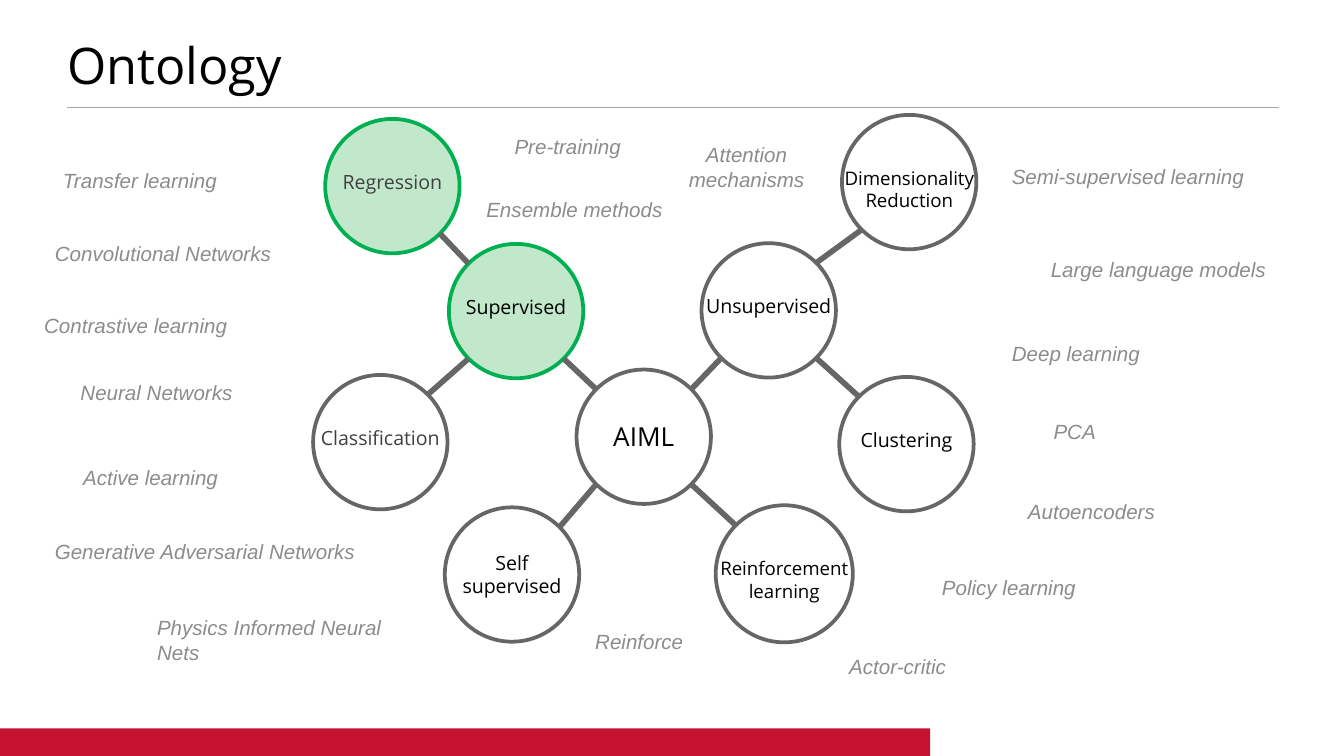
"""Build the Ontology slide: a map of AI/ML branches among related terms."""
from lxml import etree
from pptx import Presentation
from pptx import util as u
from pptx.dml.color import RGBColor
from pptx.enum import shapes, text
from pptx.oxml import ns

BLACK = RGBColor(0x00, 0x00, 0x00)
CHARCOAL = RGBColor(0x40, 0x40, 0x40)
GREY = RGBColor(0x66, 0x66, 0x66)
TERM_GREY = RGBColor(0x8C, 0x8C, 0x8C)
RULE_GREY = RGBColor(0xA5, 0xA5, 0xA5)
GREEN = RGBColor(0x00, 0xB0, 0x50)
PALE_GREEN = RGBColor(0xC2, 0xE8, 0xCC)
RED = RGBColor(0xC4, 0x12, 0x30)

deck = Presentation()
deck.slide_width = u.Inches(10)
deck.slide_height = deck.slide_width * 9 // 16
page = deck.slides.add_slide(deck.slide_layouts[5])
CELL = deck.slide_width / 100


def draw_line(ends, color, weight):
    line = page.shapes.add_connector(
        shapes.MSO_CONNECTOR.STRAIGHT, *[round(end * CELL) for end in ends])
    line.line.color.rgb = color
    line.line.width = u.Pt(weight)
    etree.SubElement(line._element.spPr, ns.qn("a:effectLst"))


def add_label(words, area, font, size, color, align, italic=False):
    box = page.shapes.add_textbox(*[round(side * CELL) for side in area])
    frame = box.text_frame
    frame.word_wrap = True
    frame.auto_size = text.MSO_AUTO_SIZE.SHAPE_TO_FIT_TEXT
    frame.text = words
    for para in frame.paragraphs:
        para.alignment = align
        for span in para.runs:
            span.font.name, span.font.size = font, u.Pt(size)
            span.font.color.rgb, span.font.italic = color, italic


draw_line((5, 8, 95.2, 8), RULE_GREY, 1)
band = page.shapes.add_shape(
    shapes.MSO_SHAPE.RECTANGLE, 0, round(54.2 * CELL), round(69.2 * CELL), round(2.1 * CELL))
band.shadow.inherit = False
band.fill.solid()
band.fill.fore_color.rgb = RED
band.line.fill.background()

title = page.shapes.title
title.left, title.top, title.width, title.height = [
    round(side * CELL) for side in (5, 2.65, 90, 4.8)]
frame = title.text_frame
frame.text = "Ontology"
frame.margin_left = frame.margin_right = frame.margin_top = frame.margin_bottom = 0
frame.vertical_anchor = text.MSO_ANCHOR.MIDDLE
para = frame.paragraphs[0]
para.alignment, para.line_spacing = text.PP_ALIGN.LEFT, 0.9
font = para.runs[0].font
font.name, font.size, font.color.rgb = "Open Sans", u.Pt(27), BLACK

nodes = {
    "AIML": (42.9, 27.5, 10, 3.3, 9.2, 3.4, 14, BLACK, False),
    "Supervised": (33.4, 18.15, 10, 3.3, 13.8, 2.8, 10.5, BLACK, True),
    "Unsupervised": (52.2, 18.1, 10, 3.3, 13.8, 2.8, 10.5, BLACK, False),
    "Self\nsupervised": (33.1, 37.75, 10, 2.75, 13.8, 4.5, 10.5, BLACK, False),
    "Reinforcement\nlearning": (53.25, 37.6, 10.2, 3.35, 13.8, 4.4, 10, BLACK, False),
    "Clustering": (62.45, 28.05, 10, 3.3, 13.8, 2.8, 10.5, BLACK, False),
    "Dimensionality\nReduction": (62.65, 8.55, 10, 3.35, 13.8, 4.4, 10, BLACK, False),
    "Regression": (24.2, 8.85, 10, 3.3, 13.8, 2.8, 10.5, CHARCOAL, True),
    "Classification": (23.3, 27.9, 10, 3.3, 13.8, 2.8, 10.5, CHARCOAL, False),
}
centers = {}
for name, (left, top, size, drop, width, height, points, color, highlighted) in nodes.items():
    circle = page.shapes.add_shape(
        shapes.MSO_SHAPE.OVAL, *[round(side * CELL) for side in (left, top, size, size)])
    circle.shadow.inherit = False
    circle.line.width = u.Pt(2)
    circle.line.color.rgb = GREEN if highlighted else GREY
    if highlighted:
        circle.fill.solid()
        circle.fill.fore_color.rgb = PALE_GREEN
    else:
        circle.fill.background()
    centers[name] = (left + size / 2, top + size / 2, size / 2 * 0.71)
    add_label(name, (centers[name][0] - width / 2, top + drop, width, height),
              "Open Sans", points, color, text.PP_ALIGN.CENTER)

branches = {
    "AIML": ("Supervised", "Self\nsupervised", "Unsupervised", "Reinforcement\nlearning"),
    "Unsupervised": ("Clustering", "Dimensionality\nReduction"),
    "Supervised": ("Regression", "Classification"),
}
for parent, children in branches.items():
    x1, y1, reach1 = centers[parent]
    for child in children:
        x2, y2, reach2 = centers[child]
        across = 1 if x2 > x1 else -1
        down = 1 if y2 > y1 else -1
        draw_line((x1 + across * reach1, y1 + down * reach1,
                   x2 - across * reach2, y2 - down * reach2), GREY, 3)

terms = [
    ("Active learning", 5.2, 34.1, 22.2),
    ("Transfer learning", 3.7, 12, 22.2),
    ("Contrastive learning", 2.3, 22.8, 22.2),
    ("Semi-supervised learning", 74.3, 11.7, 26.2),
    ("Physics Informed Neural Nets", 10.7, 45.3, 22.2),
    ("Generative Adversarial Networks", 3.1, 39.6, 25.6),
    ("Deep learning", 74.3, 24.9, 22.2),
    ("Policy learning", 69.1, 42.3, 22.2),
    ("Autoencoders", 75.5, 36.6, 22.2),
    ("Reinforce", 43.3, 46.3, 22.2),
    ("Actor-critic", 62.2, 48.2, 22.2),
    ("PCA", 77.4, 30.7, 22.2),
    ("Pre-training", 37.3, 9.5, 10.5),
    ("Large language models", 77.2, 18.6, 22.2),
    ("Neural Networks", 5, 27.8, 22.2),
    ("Attention\vmechanisms", 50, 10.1, 11.1),
    ("Convolutional Networks", 3.1, 17.4, 22.2),
    ("Ensemble methods", 35.2, 14.2, 22.2),
]
for words, left, top, width in terms:
    broken = "\v" in words
    add_label(words, (left, top, width, 4.7 if broken else 2.9), "Arial", 11, TERM_GREY,
              text.PP_ALIGN.CENTER if broken else text.PP_ALIGN.LEFT, italic=True)

deck.save("out.pptx")
